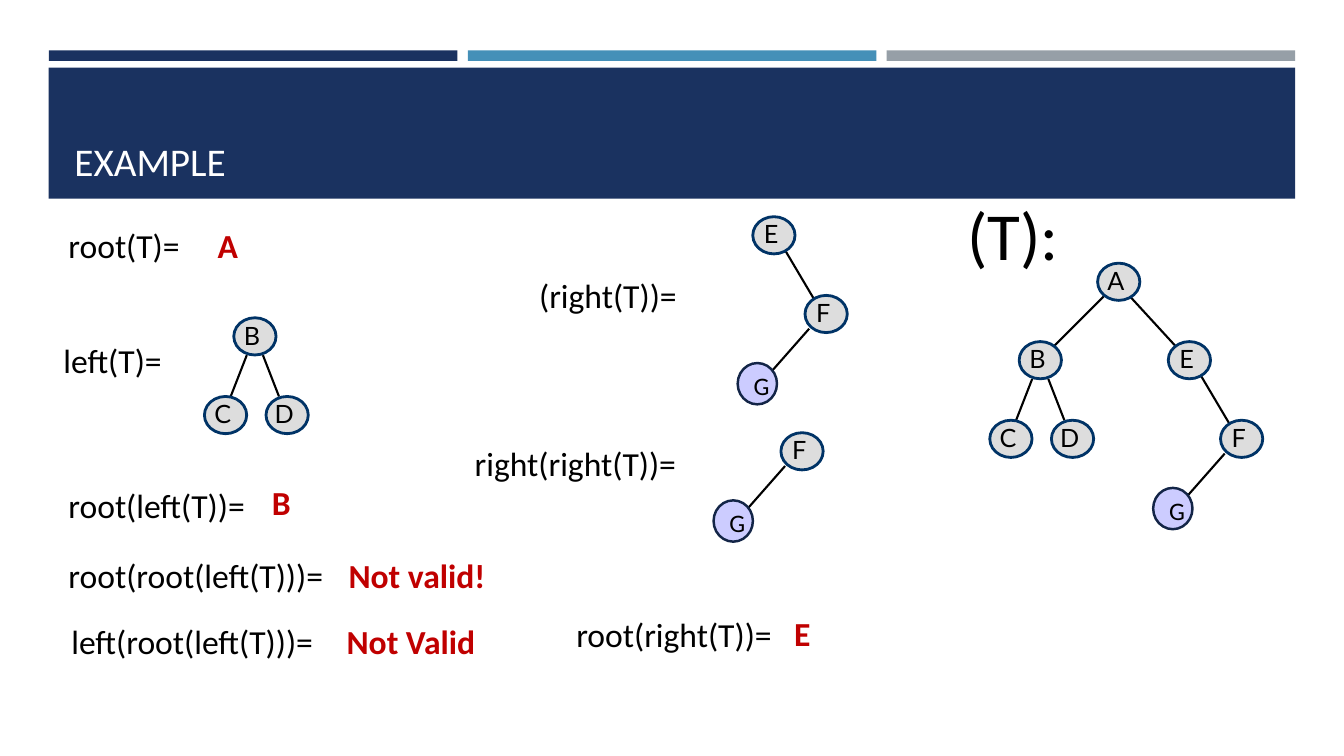
from lxml.etree import SubElement
from pptx import Presentation
from pptx.dml.color import RGBColor
from pptx.enum.shapes import MSO_CONNECTOR, MSO_SHAPE
from pptx.enum.text import MSO_ANCHOR, MSO_AUTO_SIZE, PP_ALIGN
from pptx.oxml.ns import qn
from pptx.util import Pt

COLORS = {
    "navy": "1A3260", "blue": "4590B8", "gray": "969FA7",
    "white": "FFFFFF", "black": "000000", "red": "C00000",
    "node": "DDDDDD", "node_line": "003366",
    "leaf": "CCCCFF", "leaf_line": "132547",
}
NODES = {
    "A": (784, 188), "B": (728, 244), "E": (834.5, 244), "C": (707, 300.2),
    "D": (751, 300.2), "F": (871.8, 300.2), "G": (823.7, 348.5),
}
EDGES = {
    "AB": (788.4, 211.7, 753.1, 247), "AE": (807.1, 211.7, 839.5, 247),
    "BC": (737.3, 270.7, 725.8, 300.2), "BD": (748.8, 270.7, 760.3, 300.2),
    "EF": (857.5, 267.8, 878.4, 303.1), "FG": (874.8, 324, 848.2, 354.2),
}
TREES = [
    ("ABECDFG", 0, 0),
    ("BCD", -561, -17),
    ("EFG", -296.8, -89.2),
    ("FG", -314, 8.9),
]
EXPRESSIONS = [
    ("root(T)=", 41.8, 157, 103),
    ("left(T)=", 38.2, 239, 90),
    ("root(left(T))=", 41.8, 342.7, 150),
    ("root(root(left(T)))=", 41.8, 393.1, 209),
    ("left(root(left(T)))=", 43.9, 440, 196),
    ("(right(T))=", 378, 193, 120),
    ("right(right(T))=", 332, 312.5, 166),
    ("root(right(T))=", 404.6, 434.9, 164),
]
ANSWERS = [
    ("A", 148.3, 157, 33),
    ("B", 187.2, 340.6, 32),
    ("Not valid!", 241.9, 393.1, 125),
    ("Not Valid", 240.5, 440, 118),
    ("E", 560.2, 434.2, 30),
]


def rgb(name):
    """Return the named colour."""
    return RGBColor.from_string(COLORS[name])


def write(tf, text, size=24, font="Calibri", color="black", bold=False,
          align=PP_ALIGN.LEFT, anchor=MSO_ANCHOR.TOP, wrap=False):
    """Put one formatted paragraph into a text frame."""
    tf.word_wrap = wrap
    tf.vertical_anchor = anchor
    p = tf.paragraphs[0]
    p.alignment = align
    r = p.add_run()
    r.text = text
    r.font.size = Pt(size)
    r.font.name = font
    r.font.bold = bold
    r.font.color.rgb = rgb(color)


def add_label(s, text, x, y, w, h=36, **fmt):
    """Add a text box that holds one line."""
    tf = s.shapes.add_textbox(Pt(x), Pt(y), Pt(w), Pt(h)).text_frame
    tf.auto_size = MSO_AUTO_SIZE.SHAPE_TO_FIT_TEXT
    write(tf, text, **fmt)


def add_filled(s, kind, x, y, w, h, fill):
    """Add a flat preset shape without outline."""
    sp = s.shapes.add_shape(kind, Pt(x), Pt(y), Pt(w), Pt(h))
    sp.shadow.inherit = False
    sp.fill.solid()
    sp.fill.fore_color.rgb = rgb(fill)
    sp.line.fill.background()
    return sp


def add_node(s, name, x, y):
    """Add a labelled tree node."""
    leaf = name == "G"
    kind = "leaf" if leaf else "node"
    w, h = (28.1, 29.5) if leaf else (30.2, 26.6)
    sp = add_filled(s, MSO_SHAPE.OVAL, x, y, w, h, kind)
    sp.line.color.rgb = rgb(kind + "_line")
    sp.line.width = Pt(1.75 if leaf else 2)
    tf = sp.text_frame
    tf.margin_left = Pt(6 if leaf else 0)
    tf.margin_right = Pt(0 if leaf else 4)
    tf.margin_top = Pt(2 if leaf else 0)
    tf.margin_bottom = Pt(0 if leaf else 2)
    write(tf, name, size=18, font="Calibri" if leaf else "Lato",
          align=PP_ALIGN.CENTER, anchor=MSO_ANCHOR.MIDDLE)


def add_edge(s, x1, y1, x2, y2):
    """Add a thin black line between two nodes."""
    line = s.shapes.add_connector(
        MSO_CONNECTOR.STRAIGHT, Pt(x1), Pt(y1), Pt(x2), Pt(y2))
    line.line.color.rgb = rgb("black")
    line.line.width = Pt(1.5)
    SubElement(line.element.spPr, qn("a:effectLst"))


def add_tree(s, names, dx, dy):
    """Draw the part of the tree with these nodes, shifted by dx and dy."""
    for (parent, child), (x1, y1, x2, y2) in EDGES.items():
        if parent in names and child in names:
            add_edge(s, x1 + dx, y1 + dy, x2 + dx, y2 + dy)
    for name in names:
        x, y = NODES[name]
        add_node(s, name, x + dx, y + dy)


def add_header(s, text):
    """Draw the banner with its three strips and place the title on it."""
    for i, color in enumerate(("navy", "blue", "gray")):
        add_filled(s, MSO_SHAPE.RECTANGLE, 35 + i * 299.2, 36, 291.8, 7.5, color)
    add_filled(s, MSO_SHAPE.RECTANGLE, 34.8, 48.4, 890.3, 93.6, "navy")
    title = s.shapes.title
    title.left, title.top = Pt(46), Pt(55.4)
    title.width, title.height = Pt(868.3), Pt(80)
    write(title.text_frame, text, size=28, color="white",
          anchor=MSO_ANCHOR.BOTTOM, wrap=True)
    s.shapes.element.append(title.element)


def main():
    """Build the slide and save it."""
    prs = Presentation()
    prs.slide_width, prs.slide_height = Pt(960), Pt(540)
    s = prs.slides.add_slide(prs.slide_layouts[5])
    add_header(s, "EXAMPLE")
    for tree in TREES:
        add_tree(s, *tree)
    add_label(s, "(T):", 684, 134.6, 85.7, 65.5, size=48)
    for expression in EXPRESSIONS:
        add_label(s, *expression)
    for answer in ANSWERS:
        add_label(s, *answer, color="red", bold=True)
    prs.save("out.pptx")


if __name__ == "__main__":
    main()
